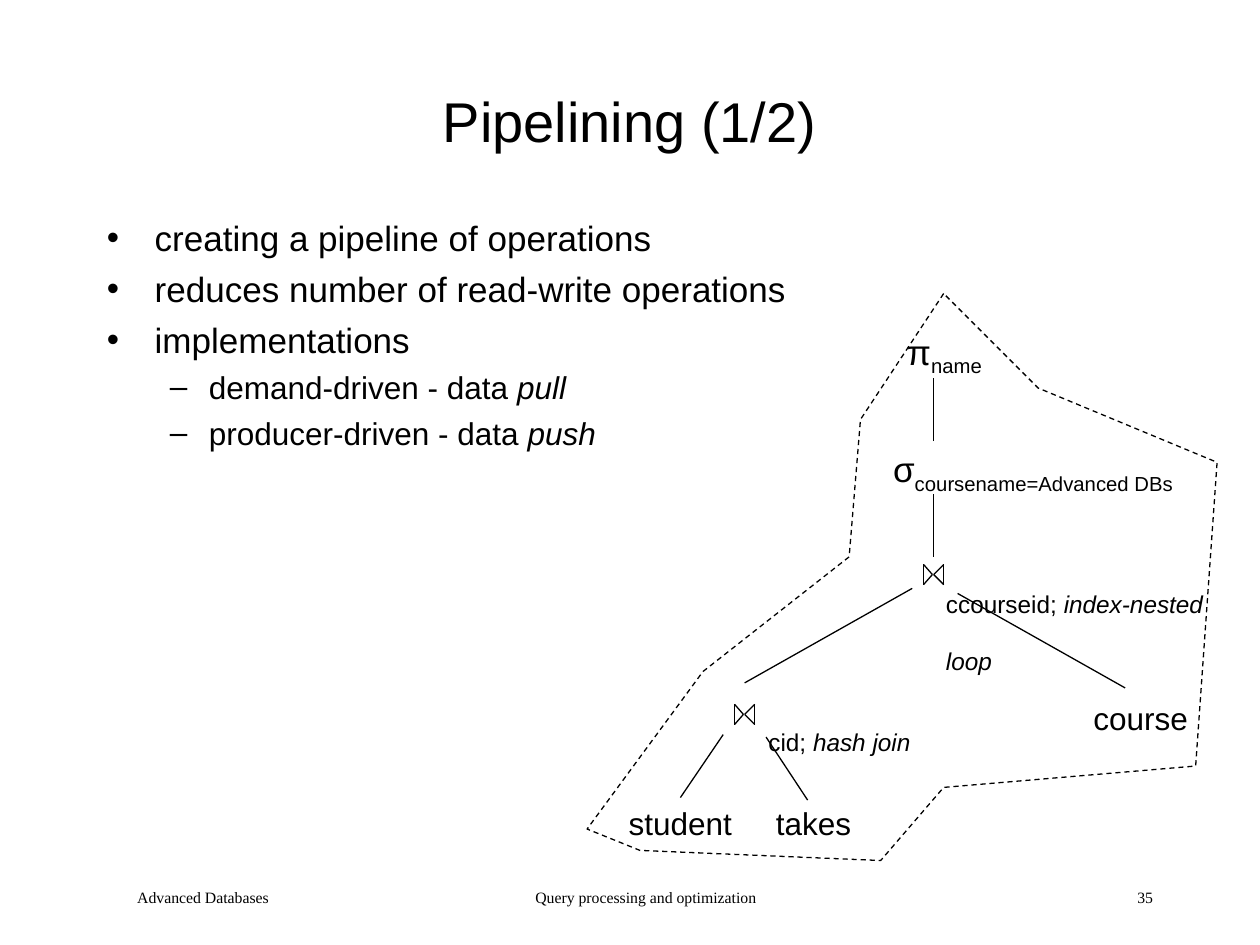
from lxml import etree
from pptx import Presentation
from pptx import util as u
from pptx.dml.color import RGBColor
from pptx.enum import dml, shapes, text
from pptx.oxml.ns import qn

PX = u.Inches(1) // 100  # 100 px to the inch
COLORS = {"ink": "000000"}
BULLETS = {0: ("•", 38, -38), 1: ("–", 81, -31)}
LEFT, CENTER, RIGHT = text.PP_ALIGN.LEFT, text.PP_ALIGN.CENTER, text.PP_ALIGN.RIGHT


def color(name):
    return RGBColor.from_string(COLORS[name])


def offset(box, part):
    """Move a part given inside box to slide coordinates."""
    left, top, *size = part
    return (box[0] + left, box[1] + top, *size)


def add_text(holder, box, wrap=True, anchor=text.MSO_ANCHOR.TOP):
    frame_box = holder.add_textbox(*(value * PX for value in box))
    formats = {"word_wrap": wrap, "vertical_anchor": anchor}
    for name, value in formats.items():
        setattr(frame_box.text_frame, name, value)
    return frame_box


def add_spans(para, spans, size, font="Arial"):
    """Each span is (words, style), the style holding i for italic, s for subscript."""
    for words, style in spans:
        span = para.add_run()
        span.text = words
        formats = {"name": font, "size": u.Pt(size), "italic": "i" in style}
        for name, value in formats.items():
            setattr(span.font, name, value)
        span.font.color.rgb = color("ink")
        if "s" in style:
            span._r.get_or_add_rPr().set("baseline", "-25000")


def set_indent(para, margin, first=0):
    properties = para._p.get_or_add_pPr()
    properties.set("marL", str(margin * PX))
    properties.set("indent", str(first * PX))
    return properties


def add_line(holder, start, end):
    points = [value * PX for value in (*start, *end)]
    line = holder.add_connector(shapes.MSO_CONNECTOR.STRAIGHT, *points)
    line.line.color.rgb = color("ink")
    line.line.width = u.Pt(0.75)
    etree.SubElement(line._element.spPr, qn("a:effectLst"))
    return line


def add_title(page, box):
    title = add_text(page.shapes, box, anchor=text.MSO_ANCHOR.MIDDLE)
    para = title.text_frame.paragraphs[0]
    para.alignment = CENTER
    add_spans(para, [("Pipelining (1/2)", "")], 32)


def add_body(page, box):
    items = [
        (0, [("creating a pipeline of operations", "")]),
        (0, [("reduces number of read-write operations", "")]),
        (0, [("implementations", "")]),
        (1, [("demand-driven - data ", ""), ("pull", "i")]),
        (1, [("producer-driven - data ", ""), ("push", "i")]),
    ]
    frame = add_text(page.shapes, box).text_frame
    for index, (level, spans) in enumerate(items):
        para = frame.add_paragraph() if index else frame.paragraphs[0]
        size = 20 - 2 * level
        para.level = level
        if index:
            para.space_before = u.Pt(size / 4)
        mark, margin, first = BULLETS[level]
        properties = set_indent(para, margin, first)
        font = etree.SubElement(properties, qn("a:buFont"))
        font.set("typeface", "Arial")
        etree.SubElement(properties, qn("a:buChar")).set("char", mark)
        add_spans(para, spans, size)


def add_join(holder, center):
    """Bow tie of two open triangles whose tips meet at the center."""
    x, y = center
    for side, tip in ((-8, -1), (8, 0)):
        top, bottom, point = (x + side, y - 8), (x + side, y + 8), (x + tip, y)
        add_line(holder, top, bottom)
        add_line(holder, top, point)
        add_line(holder, bottom, point)


def add_tree(page, box):
    tree = page.shapes.add_group_shape().shapes

    # Labels: box, wrap, size, spans
    labels = {
        "select": ((233, 117, 300, 48), True, 20,
                   [("σ", ""), ("coursename=Advanced DBs", "s")]),
        "student": ((23, 400, 102, 40), False, 18, [("student", "")]),
        "takes": ((140, 400, 80, 40), False, 18, [("takes", "")]),
        "hash": ((134, 317, 133, 56), False, 24, [("cid; ", "s"), ("hash join", "si")]),
        "loop": ((275, 207, 236, 101), True, 24,
                 [("ccourseid; ", "s"), ("index-nested loop", "si")]),
        "course": ((392, 317, 95, 40), False, 18, [("course", "")]),
        "project": ((244, 24, 90, 48), True, 20, [("π", ""), ("name", "s")]),
    }
    nodes = {}
    for name, (part, wrap, size, spans) in labels.items():
        nodes[name] = add_text(tree, offset(box, part), wrap)
        frame = nodes[name].text_frame
        frame.auto_size = text.MSO_AUTO_SIZE.SHAPE_TO_FIT_TEXT
        add_spans(frame.paragraphs[0], spans, size)

    # Join symbols
    for center in ((125, 334), (275, 223)):
        add_join(tree, offset(box, center))

    # Branches
    branches = [
        ((142, 352), (175, 402)),
        ((125, 309), (258, 234)),
        ((427, 313), (294, 238)),
        ((275, 209), (275, 159)),
        ((275, 117), (275, 67)),
    ]
    for start, end in branches:
        add_line(tree, offset(box, start), offset(box, end))
    branch = add_line(tree, offset(box, (108, 350)), offset(box, (74, 400)))
    branch.end_connect(nodes["student"], 0)

    # Dashed pipeline boundary
    corners = [(283, 0), (217, 100), (208, 209), (92, 300), (0, 425), (42, 442),
               (233, 450), (283, 392), (483, 375), (500, 134), (358, 75)]
    first, *others = [offset(box, corner) for corner in corners]
    builder = tree.build_freeform(*first, scale=PX)
    builder.add_line_segments(others, close=True)
    boundary = builder.convert_to_shape()
    boundary.shadow.inherit = False
    boundary.fill.background()
    boundary.line.color.rgb = color("ink")
    boundary.line.width = u.Pt(0.75)
    boundary.line.dash_style = dml.MSO_LINE.DASH


def add_footer(page, box):
    parts = [
        ((0, 0, 208, 33), LEFT, "Advanced Databases"),
        ((267, 0, 317, 33), CENTER, "Query processing and optimization"),
        ((642, 0, 208, 33), RIGHT, "35"),
    ]
    for part, alignment, words in parts:
        para = add_text(page.shapes, offset(box, part)).text_frame.paragraphs[0]
        para.alignment = alignment
        set_indent(para, 24)
        add_spans(para, [(words, "")], 9, "Times New Roman")


def main():
    deck = Presentation()
    deck.slide_width, deck.slide_height = 1000 * PX, 750 * PX
    page = deck.slides.add_slide(deck.slide_layouts[6])
    add_title(page, (75, 33, 850, 125))
    add_body(page, (75, 167, 850, 517))
    add_tree(page, (466, 233, 500, 450))
    add_footer(page, (75, 700, 850, 33))
    deck.save("out.pptx")


if __name__ == "__main__":
    main()
